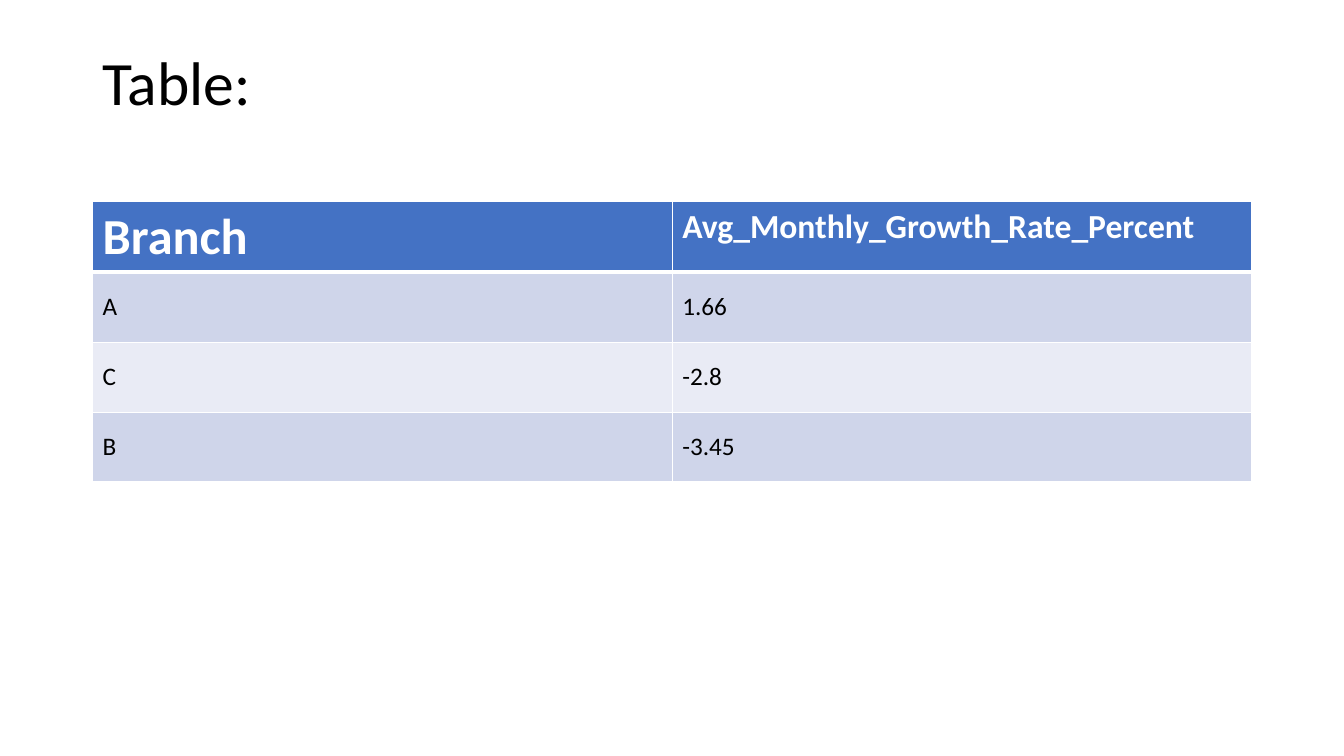
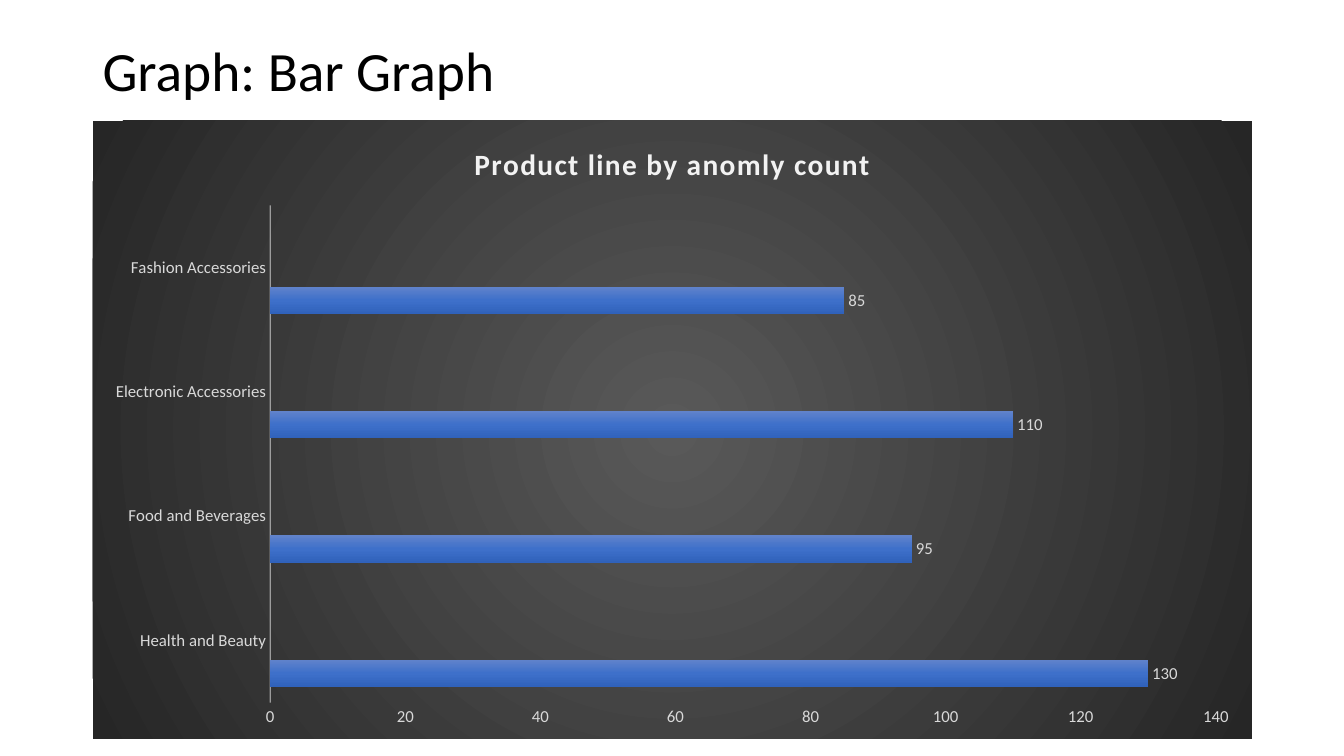
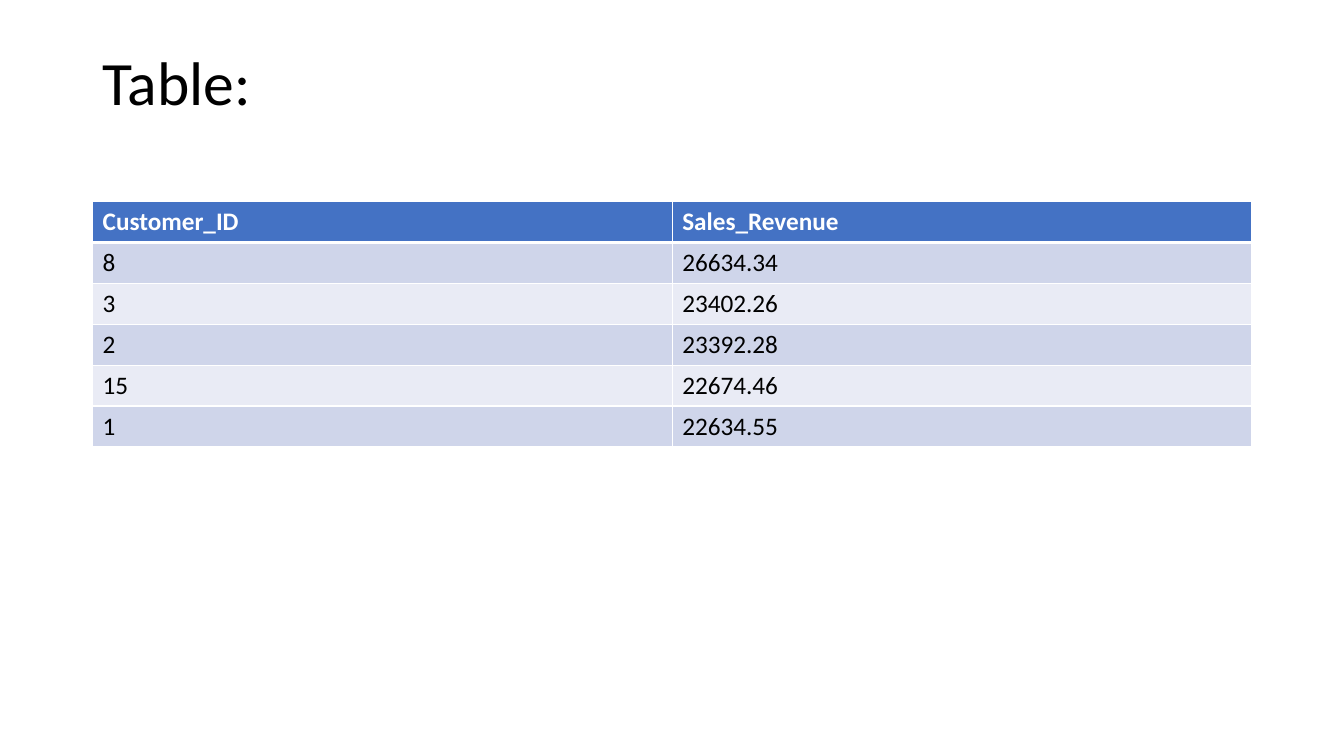
from pptx import Presentation
from pptx.chart.data import CategoryChartData as ChartData
from pptx.dml.color import RGBColor as Rgb
from pptx.enum.chart import XL_CHART_TYPE as Chart
from pptx.enum.chart import XL_LABEL_POSITION as Spot
from pptx.enum.chart import XL_TICK_MARK as Tick
from pptx.enum.text import MSO_ANCHOR as Anchor
from pptx.oxml import parse_xml
from pptx.oxml.ns import nsdecls, qn
from pptx.util import Pt
from lxml.etree import SubElement

# Shared look
FONT = "Calibri"
LEFT, WIDTH = 66.2, 828
COLORS = {
    "ink": "000000",
    "white": "FFFFFF",
    "head": "4472C4",
    "odd": "CFD5EA",
    "even": "E9EBF5",
    "label": "D9D9D9",
    "pale": "F2F2F2",
}
GLOW = [(0, "595959"), (100, "262626")]
BARS = [
    [(0, "6183CB"), (50, "3E70CA"), (100, "3062BB")],
    [(0, "F18C57"), (50, "F67B28"), (100, "E56C19")],
    [(0, "AFAFAF"), (50, "A5A5A5"), (100, "939393")],
]


def style(font, size, color, bold=False):
    font.name = FONT
    font.size = Pt(size)
    font.bold = bold
    font.color.rgb = Rgb.from_string(COLORS[color])


def write(frame, words, size=18, color="ink", bold=False, lead=None, gap=None):
    """Put one formatted line of text in a frame; gap is letter spacing."""
    para = frame.paragraphs[0]
    if lead:
        para.line_spacing = lead
    run = para.add_run()
    run.text = words
    style(run.font, size, color, bold)
    if gap:
        run.font._element.set("spc", str(int(gap * 100)))


def start(deck, title, high, size=44):
    """Add a slide with its title."""
    slide = deck.slides.add_slide(deck.slide_layouts[6])
    box = slide.shapes.add_textbox(Pt(LEFT), Pt(28.8), Pt(WIDTH), Pt(high))
    frame = box.text_frame
    frame.word_wrap = True
    frame.vertical_anchor = Anchor.MIDDLE
    write(frame, title, size=size, lead=0.9)
    return slide


# Tables
def edge(cell, side, width):
    line = SubElement(cell._tc.get_or_add_tcPr(), qn(f"a:ln{side}"))
    line.set("w", str(Pt(width)))
    fill = SubElement(line, qn("a:solidFill"))
    SubElement(fill, qn("a:srgbClr")).set("val", COLORS["white"])


def grid(slide, rows, high, sizes):
    """Add a two-column table; sizes are those of the header cells."""
    cols = len(rows[0])
    table = slide.shapes.add_table(
        len(rows), cols, Pt(LEFT), Pt(144), Pt(WIDTH), Pt(high * len(rows))
    ).table
    for y, row in enumerate(rows):
        table.rows[y].height = Pt(high)
        for x, words in enumerate(row):
            cell = table.cell(y, x)
            for side in "LRTB":
                thick = (y, side) in ((0, "B"), (1, "T"))
                edge(cell, side, 3 if thick else 1)
            cell.fill.solid()
            shade = "head" if y == 0 else "odd" if y % 2 else "even"
            cell.fill.fore_color.rgb = Rgb.from_string(COLORS[shade])
            if y == 0:
                write(cell.text_frame, words, size=sizes[x], color="white", bold=True)
            else:
                cell.vertical_anchor = Anchor.MIDDLE
                write(cell.text_frame, words)


# Chart
def blend(stops, way):
    """Build a gradient fill; way is the XML of its direction."""
    marks = "".join(
        f'<a:gs pos="{at * 1000}"><a:srgbClr val="{hue}"/></a:gs>' for at, hue in stops
    )
    return parse_xml(
        f'<a:gradFill {nsdecls("a")}><a:gsLst>{marks}</a:gsLst>{way}</a:gradFill>'
    )


def backdrop(chart):
    mid = 'l="50000" t="50000" r="50000" b="50000"'
    props = parse_xml(f'<c:spPr {nsdecls("c", "a")}/>')
    props.append(blend(GLOW, f'<a:path path="circle"><a:fillToRect {mid}/></a:path>'))
    line = SubElement(props, qn("a:ln"))
    SubElement(line, qn("a:noFill"))
    chart._chartSpace.find(qn("c:chart")).addnext(props)


def axes(chart):
    for axis in (chart.category_axis, chart.value_axis):
        axis.has_major_gridlines = False
        axis.major_tick_mark = axis.minor_tick_mark = Tick.NONE
        style(axis.tick_labels.font, 12, "label")
    chart.value_axis.format.line.fill.background()
    line = chart.category_axis.format.line
    line.width = Pt(1)
    line.color.rgb = Rgb.from_string(COLORS["pale"])
    hue = next(chart.category_axis._element.iter(qn("a:srgbClr")))
    if hue.get("val") != COLORS["pale"]:
        hue = [h for h in chart.category_axis._element.iter(qn("a:srgbClr"))
               if h.get("val") == COLORS["pale"]][0]
    SubElement(hue, qn("a:alpha")).set("val", "54000")


def bars(slide, title, cats, series):
    data = ChartData()
    data.categories = cats
    for name, vals in series:
        data.add_series(name, vals)
    chart = slide.shapes.add_chart(
        Chart.BAR_CLUSTERED, Pt(LEFT), Pt(86.4), Pt(WIDTH), Pt(441.4), data
    ).chart
    style(chart.font, 10, "ink")
    chart.has_legend = False
    chart.has_title = True
    write(chart.chart_title.text_frame, title, size=21, color="pale", bold=True, gap=1)
    chart.chart_title.include_in_layout = False
    backdrop(chart)
    axes(chart)
    plot = chart.plots[0]
    plot.vary_by_categories = False
    plot.gap_width = 115
    plot.overlap = -20
    for item, stops in zip(plot.series, BARS):
        item.invert_if_negative = False
        fill = blend(stops, '<a:lin ang="5400000" scaled="0"/>')
        item._element.get_or_add_spPr().append(fill)
        tags = item.data_labels
        tags.show_value = True
        tags.position = Spot.OUTSIDE_END
        style(tags.font, 12, "label")


def main():
    deck = Presentation()
    deck.slide_width, deck.slide_height = Pt(960), Pt(540)

    # Growth by branch
    slide = start(deck, "Table:", 64)
    rows = [
        ("Branch", "Avg_Monthly_Growth_Rate_Percent"),
        ("A", "1.66"),
        ("C", "-2.8"),
        ("B", "-3.45"),
    ]
    grid(slide, rows, 50, (36, 24))

    # Anomalies by product line
    slide = start(deck, "Graph: Bar Graph", 47, size=39.6)
    cats = [
        "Health and Beauty",
        "Food and Beverages",
        "Electronic Accessories",
        "Fashion Accessories",
    ]
    blank = [None] * len(cats)
    series = [
        ("Series 1", [130, 95, 110, 85]),
        ("Series 2", blank),
        ("Series 3", blank),
    ]
    bars(slide, "Product line by anomly count", cats, series)

    # Revenue by customer
    slide = start(deck, "Table:", 65)
    rows = [
        ("Customer_ID", "Sales_Revenue"),
        ("8", "26634.34"),
        ("3", "23402.26"),
        ("2", "23392.28"),
        ("15", "22674.46"),
        ("1", "22634.55"),
    ]
    grid(slide, rows, 29.2, (18, 18))

    deck.save("out.pptx")


if __name__ == "__main__":
    main()
